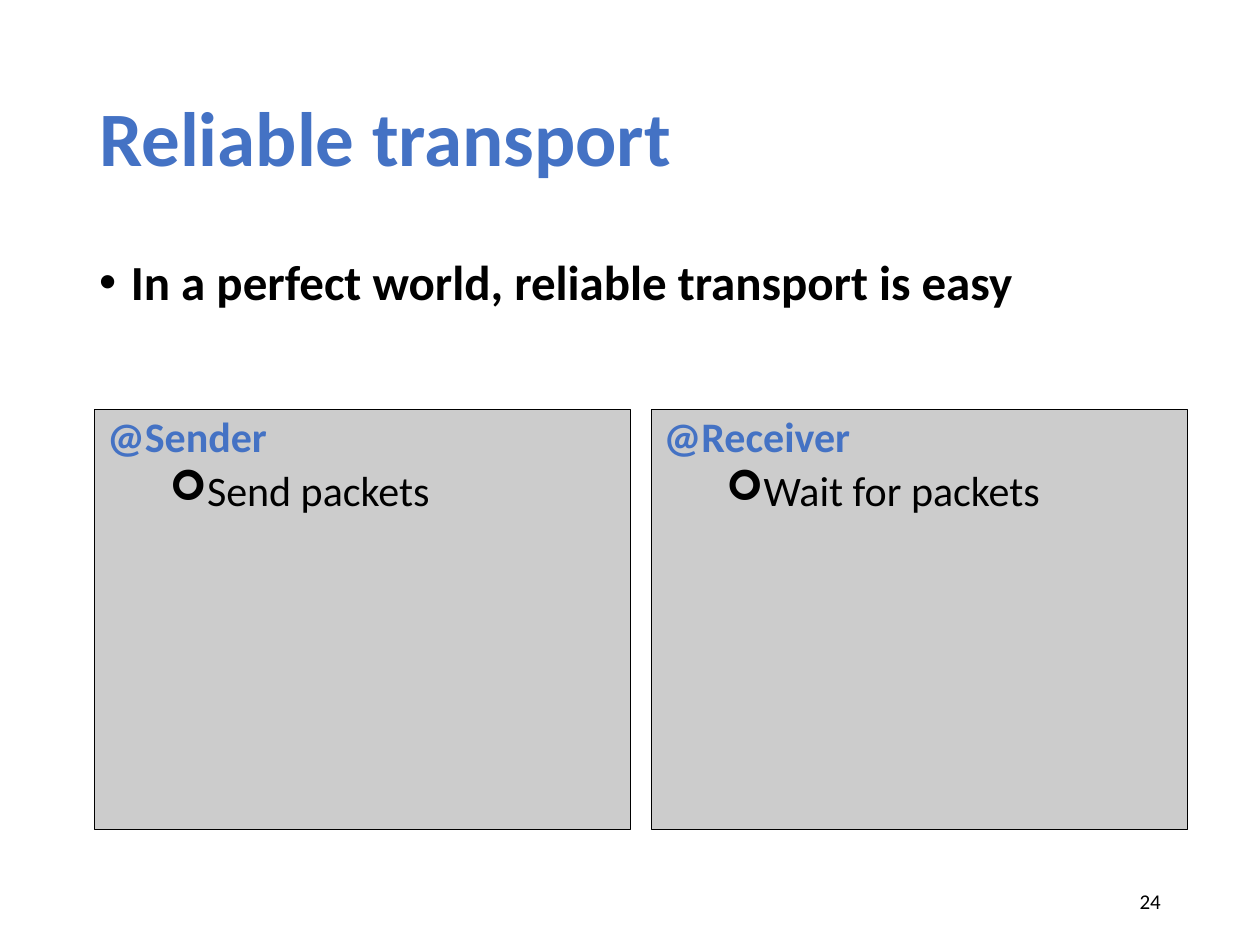
from lxml import etree
from pptx import Presentation
from pptx import util as u
from pptx.dml.color import RGBColor
from pptx.enum import shapes, text
from pptx.oxml.ns import qn

COLORS = {"accent": "4472C4", "ink": "000000", "panel": "CCCCCC"}


class Deck:
    font = "Calibri"

    def __init__(self, width, height):
        self.prs = Presentation()
        self.prs.slide_width, self.prs.slide_height = u.Cm(width), u.Cm(height)
        self.s = self.prs.slides.add_slide(self.prs.slide_layouts[6])

    def color(self, name):
        return RGBColor.from_string(COLORS[name])

    def textbox(self, *box, anchor=text.MSO_ANCHOR.TOP):
        sp = self.s.shapes.add_textbox(*map(u.Cm, box))
        tf = sp.text_frame
        tf.word_wrap, tf.vertical_anchor = True, anchor
        return tf

    def panel(self, *box):
        sp = self.s.shapes.add_shape(shapes.MSO_SHAPE.RECTANGLE, *map(u.Cm, box))
        sp.shadow.inherit = False
        sp.fill.solid()
        sp.fill.fore_color.rgb = self.color("panel")
        sp.line.color.rgb = self.color("ink")
        sp.line.width = u.Pt(0.5)
        tf = sp.text_frame
        tf.word_wrap, tf.vertical_anchor = True, text.MSO_ANCHOR.TOP
        return tf

    def add_text(self, p, words, size, color="ink", bold=False, before=0,
                 spacing=0.9, align=text.PP_ALIGN.LEFT):
        p.alignment, p.line_spacing, p.space_before = align, spacing, u.Pt(before)
        r = p.add_run()
        r.text = words
        r.font.name, r.font.size, r.font.bold = self.font, u.Pt(size), bold
        r.font.color.rgb = self.color(color)

    def bullet(self, p, char, font, indent):
        pPr = p._p.get_or_add_pPr()
        pPr.set("marL", str(u.Cm(indent)))
        pPr.set("indent", str(-u.Cm(0.64)))
        etree.SubElement(pPr, qn("a:buFont")).set("typeface", font)
        etree.SubElement(pPr, qn("a:buChar")).set("char", char)


def main():
    d = Deck(25.4, 19.05)
    left, width = 1.75, 21.9

    # Title
    tf = d.textbox(left, 1.02, width, 3.68, anchor=text.MSO_ANCHOR.MIDDLE)
    d.add_text(tf.paragraphs[0], "Reliable transport", 44, "accent", True)

    # Sender and receiver panels
    panels = [("@Sender", "Send packets"), ("@Receiver", "Wait for packets")]
    panel_width, gap = 10.8, 0.42
    for i, (heading, step) in enumerate(panels):
        tf = d.panel(1.91 + i * (panel_width + gap), 8.26, panel_width, 8.46)
        d.add_text(tf.paragraphs[0], heading, 24, "accent", True, before=10)
        p = tf.add_paragraph()
        p.level = 1
        d.add_text(p, step, 24, before=5)
        d.bullet(p, "➢", "Wingdings", 1.9)

    # Slide number
    tf = d.textbox(17.94, 17.66, 5.71, 1.01, anchor=text.MSO_ANCHOR.MIDDLE)
    d.add_text(tf.paragraphs[0], "24", 12, spacing=1.0, align=text.PP_ALIGN.RIGHT)

    # Main statement
    p = d.textbox(left, 5.08, width, 12.09).paragraphs[0]
    d.add_text(p, "In a perfect world, reliable transport is easy", 28, bold=True, before=10)
    d.bullet(p, "•", "Arial", 0.64)

    d.prs.save("out.pptx")


if __name__ == "__main__":
    main()
